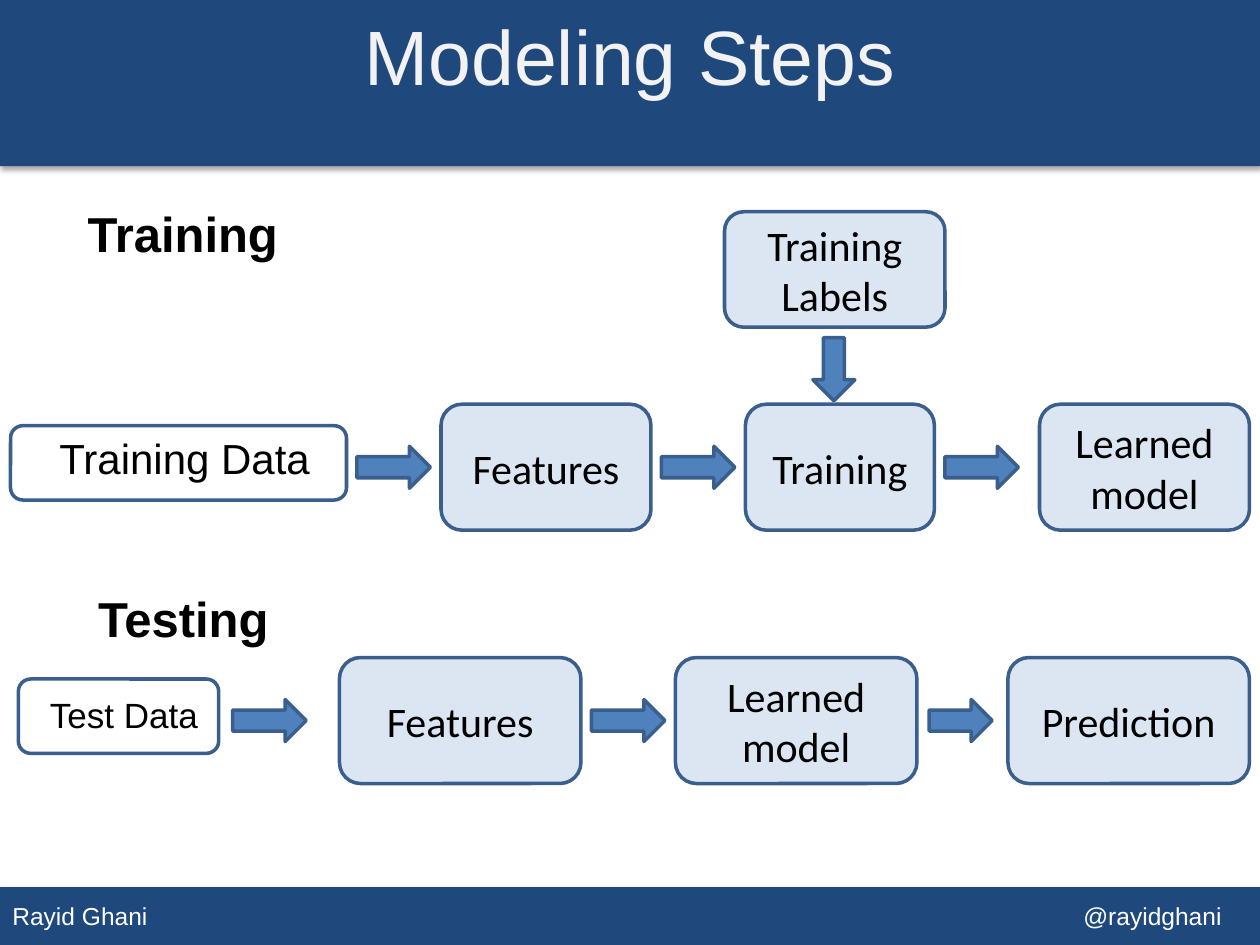
import pptx
import pptx.util
import pptx.dml.color
import pptx.enum.shapes
import pptx.enum.text
import pptx.oxml
import pptx.oxml.ns
from lxml import etree

Pt = pptx.util.Pt
SHAPE = pptx.enum.shapes.MSO_SHAPE
ALIGN = pptx.enum.text.PP_ALIGN
ANCHOR = pptx.enum.text.MSO_ANCHOR
qn = pptx.oxml.ns.qn

COLORS = {"navy": "1F497D", "box": "DCE6F2", "arrow": "4F81BD", "edge": "3A5F8C",
          "title": "F2F2F2", "white": "FFFFFF", "black": "000000"}
SLIDE_W, SLIDE_H = 720, 540
STEP_H, DATA_H, ARROW_H = 72, 42.5, 24
HEADER_H, FOOTER_H = 95, 33
HANDLE_TAB = 612

title_text = "Modeling Steps"
footer_text = "Rayid Ghani\t@rayidghani"
phases = [
    {"heading": ("Training", 43, 113, 125), "middle": 267,
     "data": (6, 192), "label": ("Training Data", 21.5, 243.5, 168, 24, ALIGN.CENTER),
     "steps": [("Features", 252, 120), ("Training", 426, 108), ("Learned model", 594, 120)],
     "arrows": [(204, 42), (378, 42), (540, 42)]},
    {"heading": ("Testing", 49, 333, 113), "middle": 411.75,
     "data": (10.5, 114.5), "label": ("Test Data", 21.5, 392.5, 124, 20, ALIGN.LEFT),
     "steps": [("Features", 194, 138), ("Learned model", 386, 138), ("Prediction", 576, 138)],
     "arrows": [(133, 42), (338, 42), (531, 36)]},
]
training_labels = ("Training Labels", 414, 121, 126, 66)
labels_arrow = (458.5, 199, 36)


def color(key):
    return pptx.dml.color.RGBColor.from_string(COLORS[key])


def write(frame, text, size, font, ink="black", align=ALIGN.CENTER, bold=False):
    frame.text = text
    paragraph = frame.paragraphs[0]
    paragraph.alignment = align
    paragraph.font.size = Pt(size)
    paragraph.font.name = font
    paragraph.font.bold = bold
    paragraph.font.color.rgb = color(ink)
    return paragraph


def add_block(kind, left, top, width, height, fill=None, edge="edge"):
    block = slide.shapes.add_shape(kind, Pt(left), Pt(top), Pt(width), Pt(height))
    block.shadow.inherit = False
    if fill:
        block.fill.solid()
        block.fill.fore_color.rgb = color(fill)
    else:
        block.fill.background()
    if edge:
        block.line.color.rgb = color(edge)
        block.line.width = Pt(2)
    else:
        block.line.fill.background()
    return block


def add_band(top, height):
    band = add_block(SHAPE.RECTANGLE, 0, top, SLIDE_W, height, "navy", None)
    effects = band.element.spPr.find(qn("a:effectLst"))
    shadow = etree.SubElement(effects, qn("a:outerShdw"), blurRad=str(Pt(3.1)),
                              dist=str(Pt(1.8)), dir="5400000", rotWithShape="0")
    shade = etree.SubElement(shadow, qn("a:srgbClr"), val=COLORS["black"])
    etree.SubElement(shade, qn("a:alpha"), val="35000")
    return band


def add_step(text, left, top, width, height=STEP_H):
    step = add_block(SHAPE.ROUNDED_RECTANGLE, left, top, width, height, "box")
    step.text_frame.vertical_anchor = ANCHOR.MIDDLE
    write(step.text_frame, text, 24, "Calibri")


def add_arrow(left, middle, width):
    return add_block(SHAPE.RIGHT_ARROW, left, middle - ARROW_H / 2, width, ARROW_H, "arrow")


def add_text(text, left, top, width, height, size, align, bold=False, wrap=True):
    box = slide.shapes.add_textbox(Pt(left), Pt(top), Pt(width), Pt(height))
    box.text_frame.word_wrap = wrap
    write(box.text_frame, text, size, "Arial", align=align, bold=bold)


deck = pptx.Presentation()
deck.slide_width, deck.slide_height = Pt(SLIDE_W), Pt(SLIDE_H)
slide = deck.slides.add_slide(deck.slide_layouts[5])

footer = add_band(SLIDE_H - FOOTER_H, FOOTER_H)
footer.text_frame.vertical_anchor = ANCHOR.MIDDLE
credit = write(footer.text_frame, footer_text, 14, "Arial", "white", ALIGN.LEFT)
tabs = etree.Element(qn("a:tabLst"))
etree.SubElement(tabs, qn("a:tab"), pos=str(Pt(HANDLE_TAB)), algn="l")
credit.font._element.addprevious(tabs)

header = add_band(0, HEADER_H)
title = slide.shapes.title
title.left, title.top, title.width, title.height = Pt(36), Pt(0), Pt(648), Pt(62.5)
title.text_frame.vertical_anchor = ANCHOR.MIDDLE
write(title.text_frame, title_text, 44, "Arial", "title")
header.element.addnext(title.element)

for phase in phases:
    middle = phase["middle"]
    heading, left, top, width = phase["heading"]
    add_text(heading, left, top, width, 41, 28, ALIGN.LEFT, bold=True, wrap=False)
    data_left, data_width = phase["data"]
    add_block(SHAPE.ROUNDED_RECTANGLE, data_left, middle - 2.5 - DATA_H / 2, data_width, DATA_H)
    label, left, top, width, size, align = phase["label"]
    add_text(label, left, top, width, 32, size, align)
    for text, left, width in phase["steps"]:
        add_step(text, left, middle - STEP_H / 2, width)
    for left, width in phase["arrows"]:
        add_arrow(left, middle, width)

add_step(*training_labels)
left, top, width = labels_arrow
add_arrow(left, top + ARROW_H / 2, width).rotation = 90

deck.save("out.pptx")
